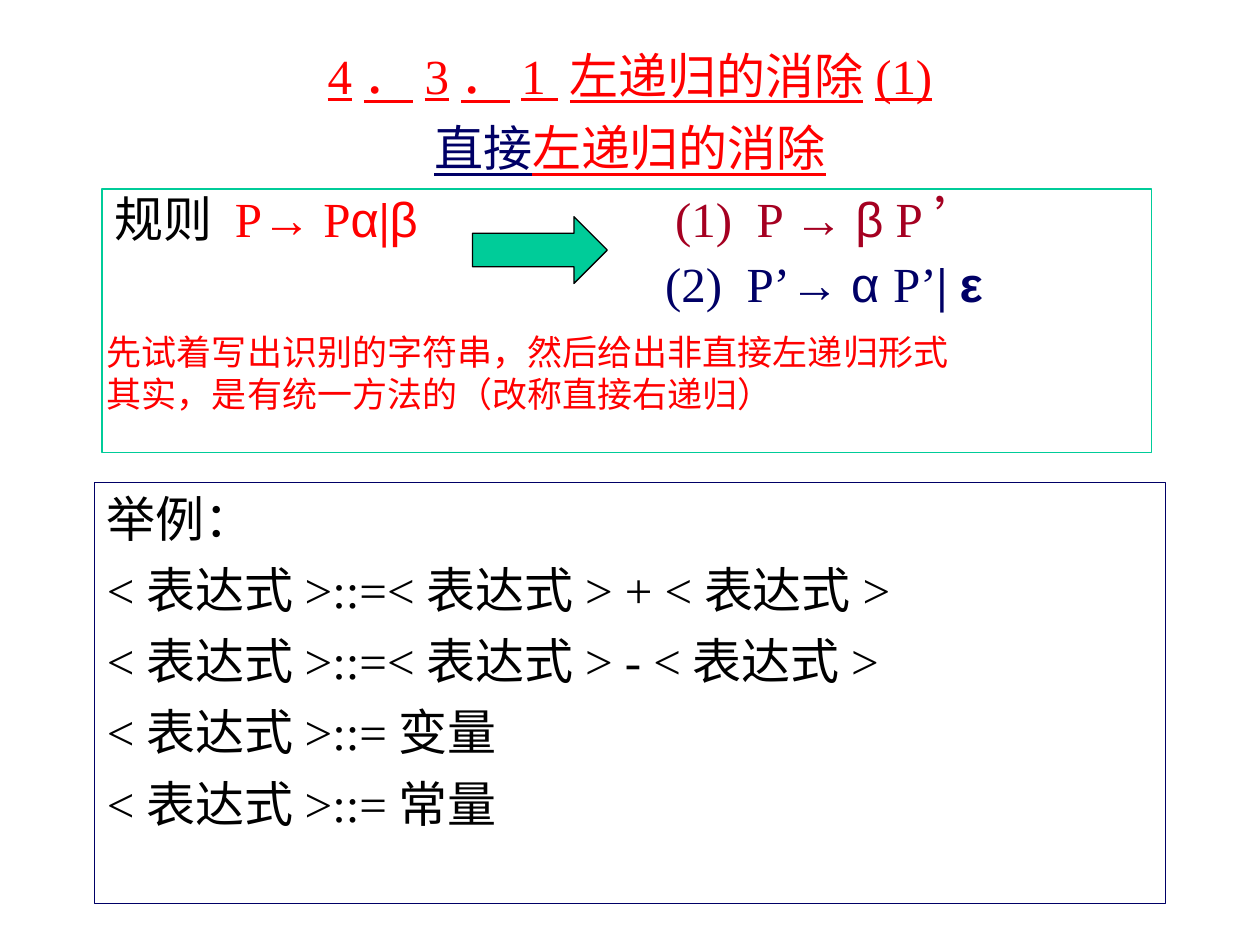
from pptx import Presentation
from pptx.dml.color import RGBColor
from pptx.enum import shapes, text
from pptx.oxml.ns import qn
from pptx.util import Inches, Pt
from lxml import etree

RED = RGBColor(0xFF, 0x00, 0x00)
NAVY = RGBColor(0x00, 0x00, 0x66)
WINE = RGBColor(0xA5, 0x00, 0x21)
GREEN = RGBColor(0x00, 0xCC, 0x99)
BLACK = RGBColor(0x00, 0x00, 0x00)
SERIF, SANS, BODY = "Times New Roman", "Arial", "Montserrat"


def add_run(para, words, color=BLACK, font=SERIF, size=28, bold=False, line=None):
    run = para.add_run()
    run.text = words
    face = run.font
    face.name, face.size, face.bold = font, Pt(size), bold
    face.underline = line
    face.color.rgb = color


def add_para(frame, first, before=0):
    """Return the frame's first paragraph, or a new one with space before it."""
    para = frame.paragraphs[0] if first else frame.add_paragraph()
    para.alignment = text.PP_ALIGN.LEFT
    para.space_before = Pt(0 if first else before)
    return para


def add_tab(para, pos):
    props = para._p.get_or_add_pPr()
    tabs = etree.SubElement(props, qn("a:tabLst"))
    etree.SubElement(tabs, qn("a:tab"), pos=str(Inches(pos)), algn="l")


def add_shape(slide, kind, box, line, fill=None):
    shape = slide.shapes.add_shape(kind, *map(Inches, box))
    shape.shadow.inherit = False
    if fill is None:
        shape.fill.background()
    else:
        shape.fill.solid()
        shape.fill.fore_color.rgb = fill
    shape.line.color.rgb = line
    shape.line.width = Pt(0.75)
    frame = shape.text_frame
    frame.word_wrap = True
    frame.vertical_anchor = text.MSO_ANCHOR.TOP
    return shape


def set_title(slide):
    title = slide.shapes.title
    title.left, title.top, title.width, title.height = map(
        Inches, (0.75, 0.42, 8.5, 0.92))
    frame = title.text_frame
    frame.auto_size = text.MSO_AUTO_SIZE.NONE
    frame.vertical_anchor = text.MSO_ANCHOR.MIDDLE
    lines = [
        [("4．3．1 左递归的消除(1)", RED)],
        [("直接", NAVY), ("左递归的消除", RED)],
    ]
    for num, runs in enumerate(lines):
        para = add_para(frame, num == 0, 8)
        para.alignment = text.PP_ALIGN.CENTER
        for words, color in runs:
            add_run(para, words, color, line=True)


def add_rules(slide):
    box = add_shape(slide, shapes.MSO_SHAPE.RECTANGLE,
                    (0.81, 1.5, 8.33, 2.09), GREEN)
    lines = [
        (4.45, [("规则 ", BLACK, SERIF, False), ("P→ P", RED, SERIF, False),
                ("α", RED, SANS, False), ("|", RED, SERIF, True),
                ("β\t", RED, SANS, False), ("(1)  P → ", WINE, SERIF, False),
                ("β", WINE, SANS, False), (" P’", WINE, SERIF, False)]),
        (4.37, [("\t(2)  P’→ ", NAVY, SERIF, False), ("α ", NAVY, SANS, False),
                ("P’", NAVY, SERIF, False), ("| ", NAVY, SERIF, True),
                ("ε", NAVY, SANS, True)]),
    ]
    for num, (tab, runs) in enumerate(lines):
        para = add_para(box.text_frame, num == 0, 7)
        para.line_spacing = 0.9
        add_tab(para, tab)
        for words, color, font, bold in runs:
            add_run(para, words, color, font, bold=bold)


def add_sample(slide):
    box = add_shape(slide, shapes.MSO_SHAPE.RECTANGLE,
                    (0.75, 3.83, 8.5, 3.34), NAVY)
    lines = ["举例："] + ["<表达式>::=" + end for end in (
        "<表达式> + <表达式>", "<表达式> - <表达式>", "变量", "常量")]
    for num, words in enumerate(lines):
        add_run(add_para(box.text_frame, num == 0, 7), words)


def add_hint(slide):
    box = slide.shapes.add_textbox(*map(Inches, (0.75, 2.57, 8.5, 0.77)))
    frame = box.text_frame
    frame.word_wrap = True
    lines = ["先试着写出识别的字符串，然后给出非直接左递归形式",
             "其实，是有统一方法的（改称直接右递归）"]
    for num, words in enumerate(lines):
        add_run(add_para(frame, num == 0), words, RED, BODY, 20)


def main():
    deck = Presentation()
    deck.slide_width, deck.slide_height = Inches(10), Inches(7.5)
    slide = deck.slides.add_slide(deck.slide_layouts[5])
    set_title(slide)
    add_rules(slide)
    add_sample(slide)
    add_shape(slide, shapes.MSO_SHAPE.RIGHT_ARROW,
              (3.75, 1.72, 1.07, 0.53), BLACK, GREEN)
    add_hint(slide)
    deck.save("out.pptx")


if __name__ == "__main__":
    main()
